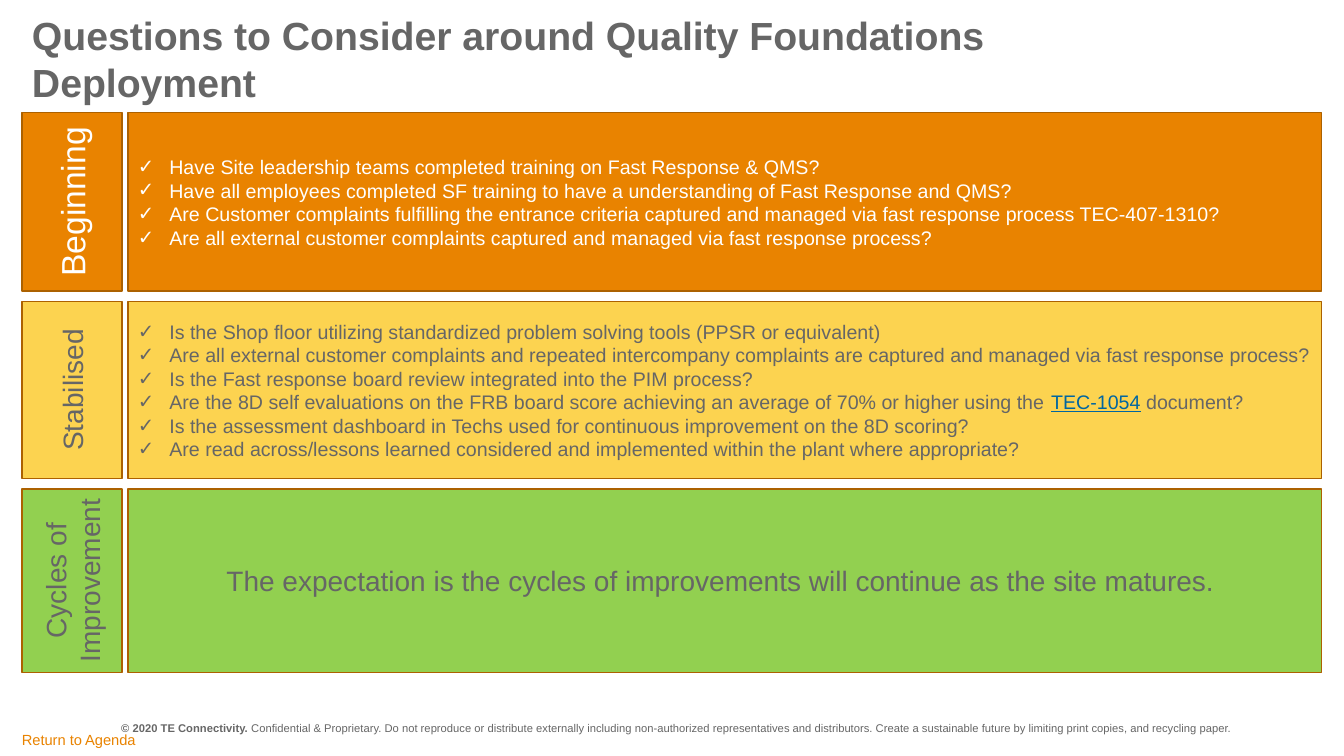
from lxml import etree
from pptx import Presentation
from pptx.dml.color import RGBColor
from pptx.enum.shapes import MSO_SHAPE
from pptx.enum.text import MSO_ANCHOR, PP_ALIGN
from pptx.oxml.ns import qn
from pptx.util import Pt

RECT = MSO_SHAPE.RECTANGLE
TOP, MIDDLE = MSO_ANCHOR.TOP, MSO_ANCHOR.MIDDLE
LEFT, CENTER = PP_ALIGN.LEFT, PP_ALIGN.CENTER

HUES = {"orange": "E98300", "yellow": "FCD350", "green": "92D050",
        "edge": "AC6100", "gray": "666666", "white": "FFFFFF", "blue": "0066A1"}

TITLE = "Questions to Consider around Quality Foundations Deployment"
LEGAL = [
    ("© 2020 TE Connectivity. ", {"bold": True}),
    ("Confidential & Proprietary. Do not reproduce or distribute externally including "
     "non-authorized representatives and distributors. Create a sustainable future by "
     "limiting print copies, and recycling paper.", {}),
]
BACK = "Return to Agenda"
STAGES = [
    {"name": "Beginning", "size": 24, "fill": "orange", "ink": "white", "high": 127.4,
     "checks": [
         "Have Site leadership teams completed training on Fast Response & QMS?",
         "Have all employees completed SF training to have a understanding of "
         "Fast Response and QMS?",
         "Are Customer complaints fulfilling the entrance criteria captured and managed "
         "via fast response process TEC-407-1310?",
         "Are all external customer complaints captured and managed via fast response process?",
     ]},
    {"name": "Stabilised", "size": 20, "fill": "yellow", "ink": "gray", "high": 126.7,
     "checks": [
         "Is the Shop floor utilizing standardized problem solving tools (PPSR or equivalent)",
         "Are all external customer complaints and repeated intercompany complaints are "
         "captured and managed via fast response process?",
         "Is the Fast response board review integrated into the PIM process?",
         [("Are the 8D self evaluations on the FRB board score achieving an average of 70% "
           "or higher using the ", {}),
          ("TEC-1054", {"ink": "blue", "line": True}),
          (" document?", {})],
         "Is the assessment dashboard in Techs used for continuous improvement "
         "on the 8D scoring?",
         "Are read across/lessons learned considered and implemented within the plant "
         "where appropriate?",
     ]},
    {"name": "Cycles of Improvement", "size": 20, "fill": "green", "ink": "gray", "high": 131,
     "note": "The expectation is the cycles of improvements will continue as the site matures. "},
]

EDGE, START, GAP = 15.8, 80.6, 7.3
TAB_W, BODY_X, BODY_W = 71.3, 91.4, 852.5
INDENT, INSET = 22.5, 3


def color(name):
    """Return the named colour."""
    return RGBColor.from_string(HUES[name])


def check(para):
    """Give a paragraph a hanging check mark."""
    props = para._p.get_or_add_pPr()
    props.set("marL", str(Pt(INDENT)))
    props.set("indent", str(-Pt(INDENT)))
    etree.SubElement(props, qn("a:buFont")).set("typeface", "Arial")
    etree.SubElement(props, qn("a:buChar")).set("char", "✓")


def write(shape, lines, size, ink, align=LEFT, anchor=MIDDLE, bold=False, marks=False):
    """Fill a shape with lines, each a string or a list of styled runs."""
    frame = shape.text_frame
    frame.word_wrap = True
    frame.vertical_anchor = anchor
    for i, line in enumerate(lines):
        para = frame.paragraphs[0] if i == 0 else frame.add_paragraph()
        para.alignment = align
        if marks:
            check(para)
        for text, style in [(line, {})] if isinstance(line, str) else line:
            run = para.add_run()
            run.text = text
            font = run.font
            font.name, font.size = "Arial", Pt(size)
            font.bold = style.get("bold", bold)
            font.underline = style.get("line", False)
            font.color.rgb = color(style.get("ink", ink))


def label(slide, box, lines, size, ink, bold=False):
    """Add a plain text box."""
    area = slide.shapes.add_textbox(*map(Pt, box))
    write(area, lines, size, ink, anchor=TOP, bold=bold)


def block(slide, box, fill):
    """Add a filled, outlined rectangle."""
    shape = slide.shapes.add_shape(RECT, *map(Pt, box))
    shape.shadow.inherit = False
    shape.fill.solid()
    shape.fill.fore_color.rgb = color(fill)
    shape.line.color.rgb = color("edge")
    shape.line.width = Pt(1)
    return shape


def turn(shape):
    """Make the text of a shape read upwards, with slim margins."""
    frame = shape.text_frame
    frame._txBody.bodyPr.set("vert", "vert270")
    frame.margin_left = frame.margin_right = Pt(INSET)
    frame.margin_top = frame.margin_bottom = Pt(INSET)


def main():
    """Build and save the slide."""
    deck = Presentation()
    deck.slide_width, deck.slide_height = Pt(960), Pt(540)
    slide = deck.slides.add_slide(deck.slide_layouts[6])

    label(slide, (79.5, 511.9, 850, 15.1), [LEGAL], 8, "gray")
    label(slide, (EDGE, 4.3, 832.3, 46.8), [TITLE], 28, "gray", bold=True)

    top = START
    for stage in STAGES:
        fill, ink, high = stage["fill"], stage["ink"], stage["high"]
        tab = block(slide, (EDGE, top, TAB_W, high), fill)
        turn(tab)
        write(tab, [stage["name"]], stage["size"], ink, CENTER)
        body = block(slide, (BODY_X, top, BODY_W, high), fill)
        if "checks" in stage:
            write(body, stage["checks"], 14, ink, marks=True)
        else:
            write(body, [stage["note"]], 20, ink, CENTER)
        top += high + GAP

    label(slide, (8.6, 518.4, 110, 20.2), [BACK], 10.5, "orange")
    deck.save("out.pptx")


if __name__ == "__main__":
    main()
